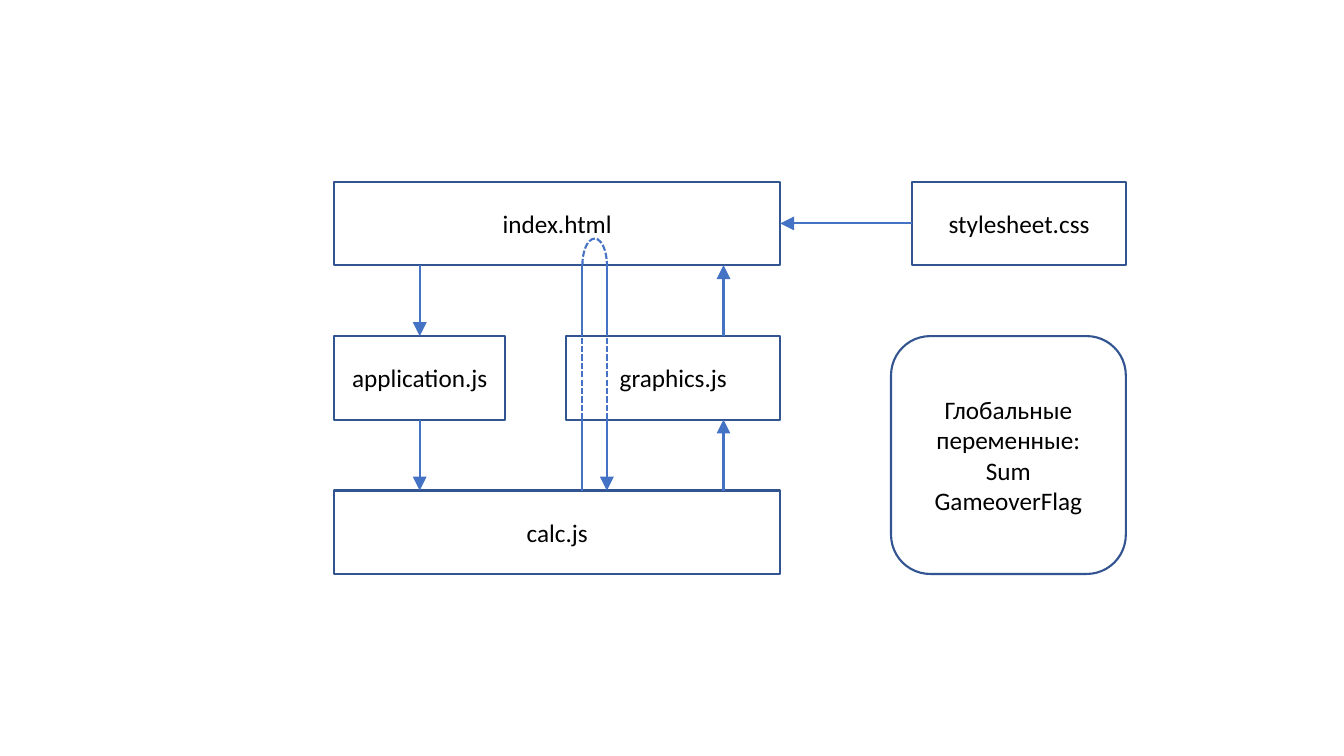
from lxml.etree import SubElement
from pptx import Presentation
from pptx.dml.color import RGBColor
from pptx.enum.dml import MSO_LINE
from pptx.enum.shapes import MSO_CONNECTOR, MSO_SHAPE
from pptx.enum.text import MSO_ANCHOR, PP_ALIGN
from pptx.oxml.ns import qn
from pptx.util import Pt


def color(value):
    return RGBColor.from_string(value)


class DependencyDiagram:
    """Draws boxes, arrows and arcs of a module diagram in one style."""

    font_name = "Calibri"
    font_size = 18
    text_color = "000000"
    box_color = "325491"
    line_color = "4472C4"
    line_width = 1.5

    def __init__(self, slide):
        self.slide = slide

    def style_line(self, line, value, dashed=False):
        line.color.rgb = color(value)
        line.width = Pt(self.line_width)
        if dashed:
            line.dash_style = MSO_LINE.SQUARE_DOT

    def outline(self, kind, left, top, width, height, value, dashed=False):
        shape = self.slide.shapes.add_shape(
            kind, Pt(left), Pt(top), Pt(width), Pt(height)
        )
        shape.shadow.inherit = False
        shape.fill.background()
        self.style_line(shape.line, value, dashed)
        return shape

    def box(self, text, left, top, width, height, kind=MSO_SHAPE.FLOWCHART_PROCESS):
        shape = self.outline(kind, left, top, width, height, self.box_color)
        text_frame = shape.text_frame
        text_frame.word_wrap = True
        text_frame.vertical_anchor = MSO_ANCHOR.MIDDLE
        text_frame.text = text
        for paragraph in text_frame.paragraphs:
            paragraph.alignment = PP_ALIGN.CENTER
            for run in paragraph.runs:
                run.font.name = self.font_name
                run.font.size = Pt(self.font_size)
                run.font.color.rgb = color(self.text_color)

    def line(self, start, end, arrow=False, dashed=False):
        connector = self.slide.shapes.add_connector(
            MSO_CONNECTOR.STRAIGHT, *(Pt(value) for value in (*start, *end))
        )
        self.style_line(connector.line, self.line_color, dashed)
        if arrow:
            line_element = connector.line._get_or_add_ln()
            SubElement(line_element, qn("a:tailEnd"), type="triangle", w="lg", len="lg")
        SubElement(connector._element.spPr, qn("a:effectLst"))

    def upper_half_arc(self, left, right, top, base):
        shape = self.outline(
            MSO_SHAPE.ARC,
            left,
            top,
            right - left,
            2 * (base - top),
            self.line_color,
            dashed=True,
        )
        for index, angle in enumerate((180, 0)):
            shape.adjustments[index] = angle * 0.6


def main():
    presentation = Presentation()
    presentation.slide_width = Pt(960)
    presentation.slide_height = Pt(540)
    slide = presentation.slides.add_slide(presentation.slide_layouts[6])
    diagram = DependencyDiagram(slide)

    box_height = 59.6
    page_top, script_top, calc_top = (129.8 + 110.3 * row for row in range(3))
    page_bottom, script_bottom, calc_bottom = (
        top + box_height for top in (page_top, script_top, calc_top)
    )
    left, right = 238.7, 557.3
    style_left, style_right = 651.7, 804.2
    globals_left = 636.5
    graphics_left = 404.6

    for text, box_left, top, box_right in (
        ("index.html", left, page_top, right),
        ("stylesheet.css", style_left, page_top, style_right),
        ("application.js", left, script_top, 361),
        ("graphics.js", graphics_left, script_top, right),
        ("calc.js", left, calc_top, right),
    ):
        diagram.box(text, box_left, top, box_right - box_left, box_height)
    diagram.box(
        "Глобальные переменные:\nSum\nGameoverFlag",
        globals_left,
        script_top,
        style_right - globals_left,
        calc_bottom - script_top,
        MSO_SHAPE.FLOWCHART_ALTERNATE_PROCESS,
    )

    style_middle = page_top + box_height / 2
    diagram.line((style_left, style_middle), (right, style_middle), arrow=True)

    down_x, up_x = 299.8, 516.8
    loop_start_x, loop_end_x = 416, 433.5
    for upper, lower in ((page_bottom, script_top), (script_bottom, calc_top)):
        diagram.line((down_x, upper), (down_x, lower), arrow=True)
        diagram.line((up_x, lower), (up_x, upper), arrow=True)
        diagram.line((loop_start_x, lower), (loop_start_x, upper))
        diagram.line(
            (loop_end_x, upper), (loop_end_x, lower), arrow=upper == script_bottom
        )
    for x in (loop_start_x, loop_end_x):
        diagram.line((x, script_bottom), (x, script_top), dashed=True)

    diagram.upper_half_arc(loop_start_x, loop_end_x, 170.4, page_bottom)

    presentation.save("out.pptx")


if __name__ == "__main__":
    main()
